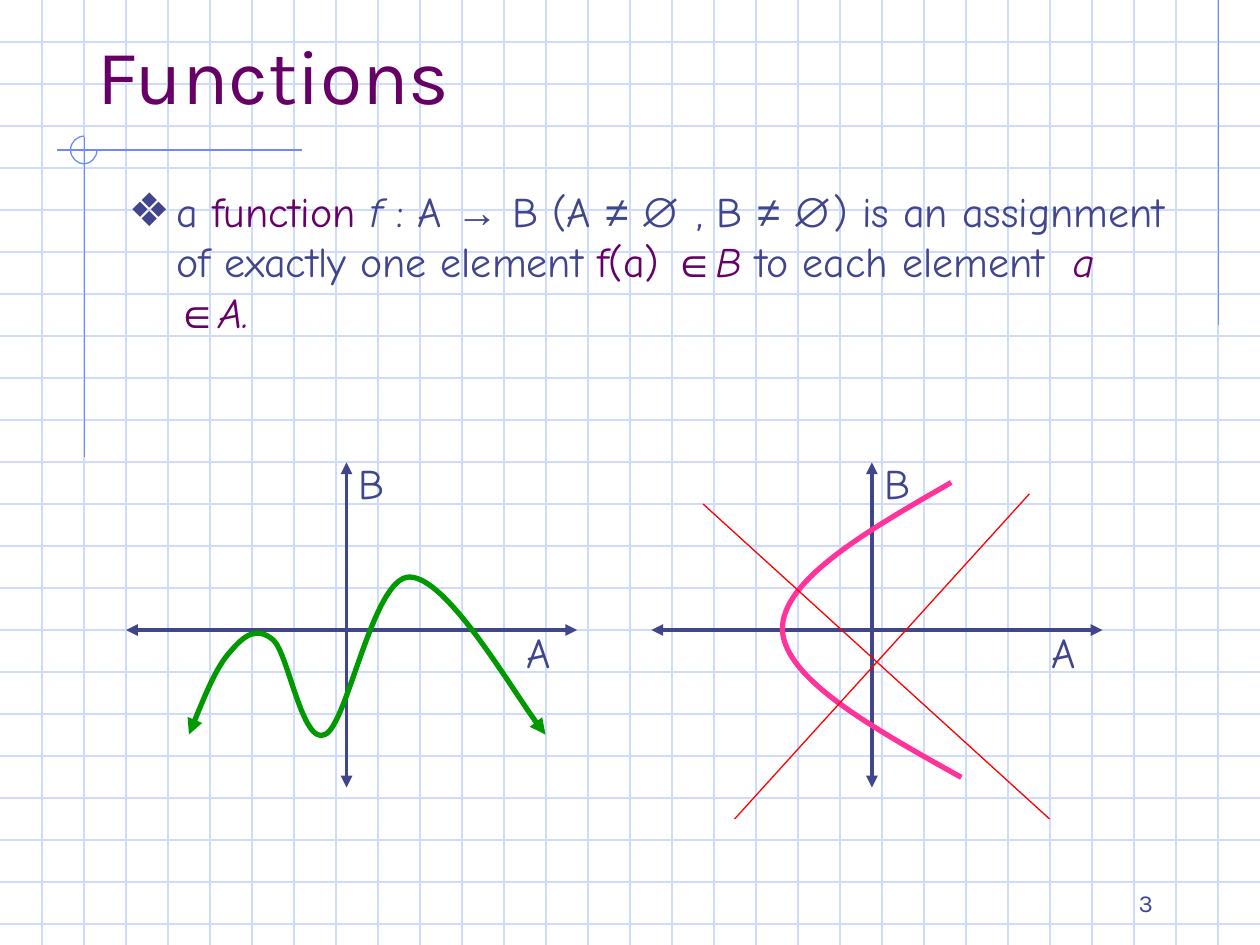
from lxml import etree
from pptx import Presentation
from pptx.dml.color import RGBColor
from pptx.enum.shapes import MSO_CONNECTOR
from pptx.enum.text import MSO_ANCHOR, MSO_AUTO_SIZE, PP_ALIGN
from pptx.oxml.ns import qn
from pptx.util import Inches, Pt

STRAIGHT = MSO_CONNECTOR.STRAIGHT
TOP, BOTTOM = MSO_ANCHOR.TOP, MSO_ANCHOR.BOTTOM
LEFT, RIGHT = PP_ALIGN.LEFT, PP_ALIGN.RIGHT
NO_AUTOFIT = MSO_AUTO_SIZE.NONE

WIDTH, HEIGHT, GRID_STEP = 10, 7.5, 1 / 3
INK, PLUM = "40458C", "660066"
GRID_BLUE, RULE_BLUE = "CFDBFD", "6F89F7"
GREEN, PINK, RED = "009900", "FF3399", "FF0000"
HEADING_FONT, BODY_FONT, SYMBOL_FONT = "Karla", "Comic Neue", "Arial"


def rgb(hex_color):
    return RGBColor.from_string(hex_color)


def style_line(shape, color, weight, arrows=False):
    shape.line.color.rgb = rgb(color)
    shape.line.width = Pt(weight)
    if arrows:
        outline = shape._element.spPr.find(qn("a:ln"))
        for end in ("a:headEnd", "a:tailEnd"):
            etree.SubElement(outline, qn(end), type="triangle")


def add_line(slide, start, end, color, weight=0.75, arrows=False):
    points = [Inches(value) for value in (*start, *end)]
    line = slide.shapes.add_connector(STRAIGHT, *points)
    style_line(line, color, weight, arrows)
    etree.SubElement(line._element.spPr, qn("a:effectLst"))


def add_curve(slide, points, color, weight, arrows=False):
    """Draw a start point followed by triples of cubic Bezier points."""
    start, *rest = [(Inches(x), Inches(y)) for x, y in points]
    builder = slide.shapes.build_freeform(*start)
    builder.add_line_segments(rest, close=False)
    curve = builder.convert_to_shape()
    outline = curve._element.spPr.find(".//" + qn("a:path"))
    segments = outline.findall(qn("a:lnTo"))
    for first in range(0, len(segments), 3):
        bezier = etree.SubElement(outline, qn("a:cubicBezTo"))
        for segment in segments[first:first + 3]:
            bezier.append(segment[0])
            outline.remove(segment)
    curve.fill.background()
    curve.shadow.inherit = False
    style_line(curve, color, weight, arrows)


def add_run(paragraph, text, font=BODY_FONT, size=24, color=INK, italic=False):
    run = paragraph.add_run()
    run.text = text
    run.font.name, run.font.size = font, Pt(size)
    run.font.color.rgb = rgb(color)
    run.font.bold, run.font.italic = False, italic


def set_frame(shape, box, anchor=TOP, align=LEFT):
    """Place a text shape and return its first paragraph."""
    shape.left, shape.top, shape.width, shape.height = map(Inches, box)
    frame = shape.text_frame
    frame.word_wrap = True
    frame.auto_size = NO_AUTOFIT
    frame.vertical_anchor = anchor
    paragraph = frame.paragraphs[0]
    paragraph.alignment = align
    paragraph.space_before = Pt(0)
    return paragraph


def add_text(slide, text, box, anchor=TOP, align=LEFT, **format_options):
    text_box = slide.shapes.add_textbox(*map(Inches, box))
    add_run(set_frame(text_box, box, anchor, align), text, **format_options)


def add_bullet(paragraph, char, color, percent, indent):
    props = paragraph._p.get_or_add_pPr()
    props.set("marL", str(Inches(indent)))
    props.set("indent", str(-Inches(indent)))
    bullet_color = etree.SubElement(props, qn("a:buClr"))
    etree.SubElement(bullet_color, qn("a:srgbClr"), val=color)
    etree.SubElement(props, qn("a:buSzPct"), val=str(percent * 1000))
    etree.SubElement(props, qn("a:buFont"), typeface=SYMBOL_FONT)
    etree.SubElement(props, qn("a:buChar"), char=char)


def add_background(slide):
    # Graph paper
    for row in range(1, 23):
        y = row * GRID_STEP
        add_line(slide, (0, y), (WIDTH, y), GRID_BLUE)
    for column in range(1, 30):
        x = column * GRID_STEP
        add_line(slide, (x, 0), (x, HEIGHT), GRID_BLUE)
    # Margin rules and the open circle where they cross
    add_line(slide, (9.67, 0), (9.67, 2.58), RULE_BLUE)
    add_line(slide, (2.4, 1.19), (0.45, 1.19), RULE_BLUE)
    add_line(slide, (0.67, 1.09), (0.67, 3.63), RULE_BLUE)
    add_curve(slide, [(0.67, 1.08), (0.61, 1.08), (0.56, 1.13), (0.56, 1.19),
                      (0.56, 1.25), (0.61, 1.3), (0.67, 1.3),
                      (0.72, 1.3), (0.77, 1.25), (0.77, 1.19)], RULE_BLUE, 0.75)


def add_definition(body):
    paragraph = set_frame(body, (0.92, 1.42, 8.5, 5.42))
    add_bullet(paragraph, "❖", INK, 110, 0.38)
    plum, symbol = {"color": PLUM}, {"font": SYMBOL_FONT}
    definition = [
        ("a ", {}), ("function ", plum), ("f", {"italic": True}), (" : A ", {}),
        ("→", symbol), (" B (A ", {}), ("≠ ∅", symbol), (" , B ", {}),
        ("≠ ∅", symbol), (") is an assignment of exactly one element ", {}),
        ("f(a) ", plum), ("∈", {**plum, **symbol}), ("B", {**plum, "italic": True}),
        (" to each element  ", {}), ("a ", {**plum, "italic": True}),
        ("∈", {**plum, **symbol}), ("A.", {**plum, "italic": True}),
    ]
    for text, format_options in definition:
        add_run(paragraph, text, **format_options)


def add_axes(slide, origin_x):
    add_line(slide, (origin_x, 3.67), (origin_x, 6.25), INK, 2.25, arrows=True)
    add_line(slide, (origin_x + 1.83, 5), (origin_x - 1.75, 5), INK, 2.25, arrows=True)
    add_text(slide, "A", (origin_x + 1.33, 4.92, 0.5, 0.5))
    add_text(slide, "B", (origin_x, 3.58, 0.5, 0.5))


def main():
    prs = Presentation()
    prs.slide_width, prs.slide_height = Inches(WIDTH), Inches(HEIGHT)
    slide = prs.slides.add_slide(prs.slide_layouts[1])
    title, body = slide.placeholders
    add_background(slide)
    add_text(slide, "3", (7.17, 7.08, 2.08, 0.25), BOTTOM, RIGHT,
             font=HEADING_FONT, size=14)

    # Title and definition, brought in front of the graph paper
    for placeholder in (title, body):
        slide.shapes._spTree.append(placeholder._element)
    heading = set_frame(title, (0.67, 0.33, 9, 0.67), BOTTOM)
    add_run(heading, "Functions", font=HEADING_FONT, size=44, color=PLUM)
    add_definition(body)

    # Graph of a function
    add_axes(slide, 2.75)
    add_curve(slide, [(1.5, 5.83), (1.61, 5.56), (1.72, 5.29), (1.83, 5.17),
                      (1.94, 5.04), (2.04, 4.97), (2.17, 5.08),
                      (2.29, 5.19), (2.4, 5.92), (2.58, 5.83),
                      (2.76, 5.75), (2.96, 4.58), (3.25, 4.58),
                      (3.54, 4.58), (4.15, 5.62), (4.33, 5.83)],
              GREEN, 3, arrows=True)

    # Curve that is not a function, crossed out
    add_axes(slide, 6.92)
    add_curve(slide, [(7.55, 3.83), (6.87, 4.22), (6.2, 4.61), (6.21, 5),
                      (6.23, 5.39), (6.93, 5.78), (7.63, 6.17)], PINK, 3)
    add_line(slide, (5.58, 4), (8.33, 6.5), RED)
    add_line(slide, (5.83, 6.5), (8.17, 3.92), RED)

    prs.save("out.pptx")


if __name__ == "__main__":
    main()
